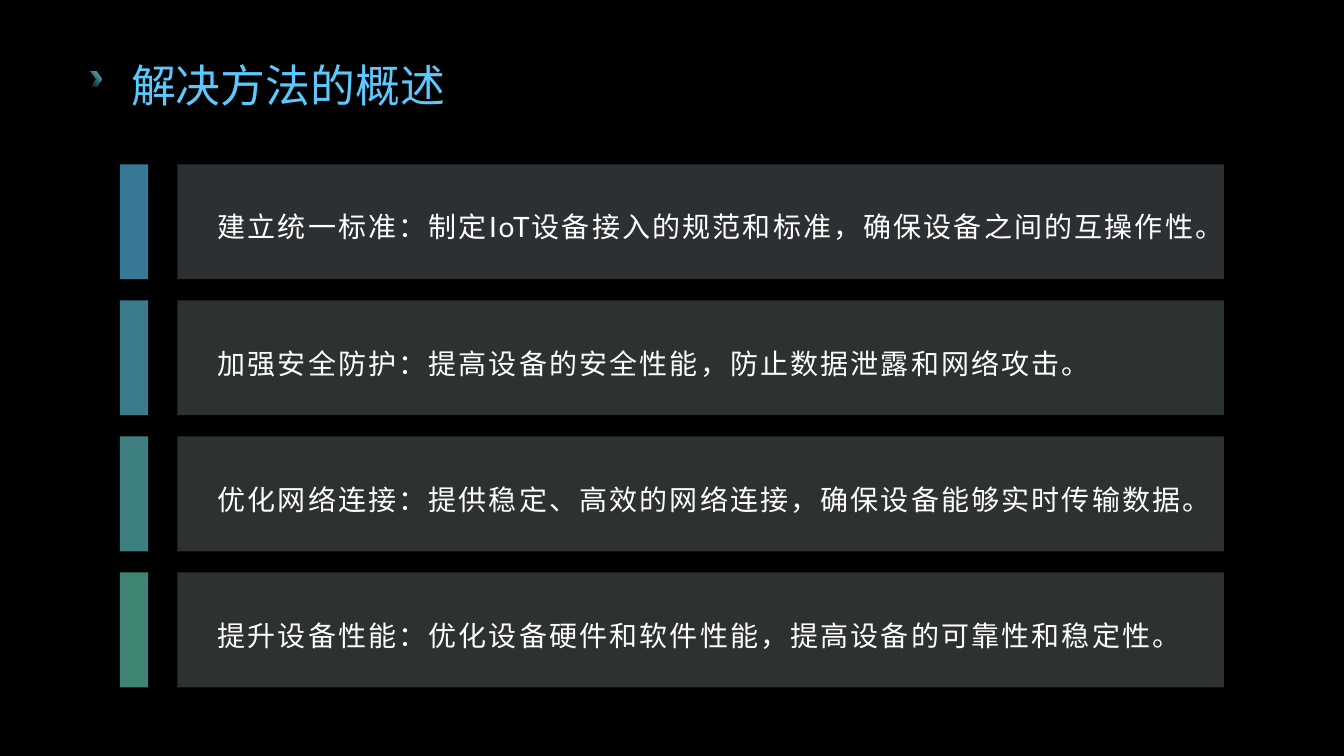
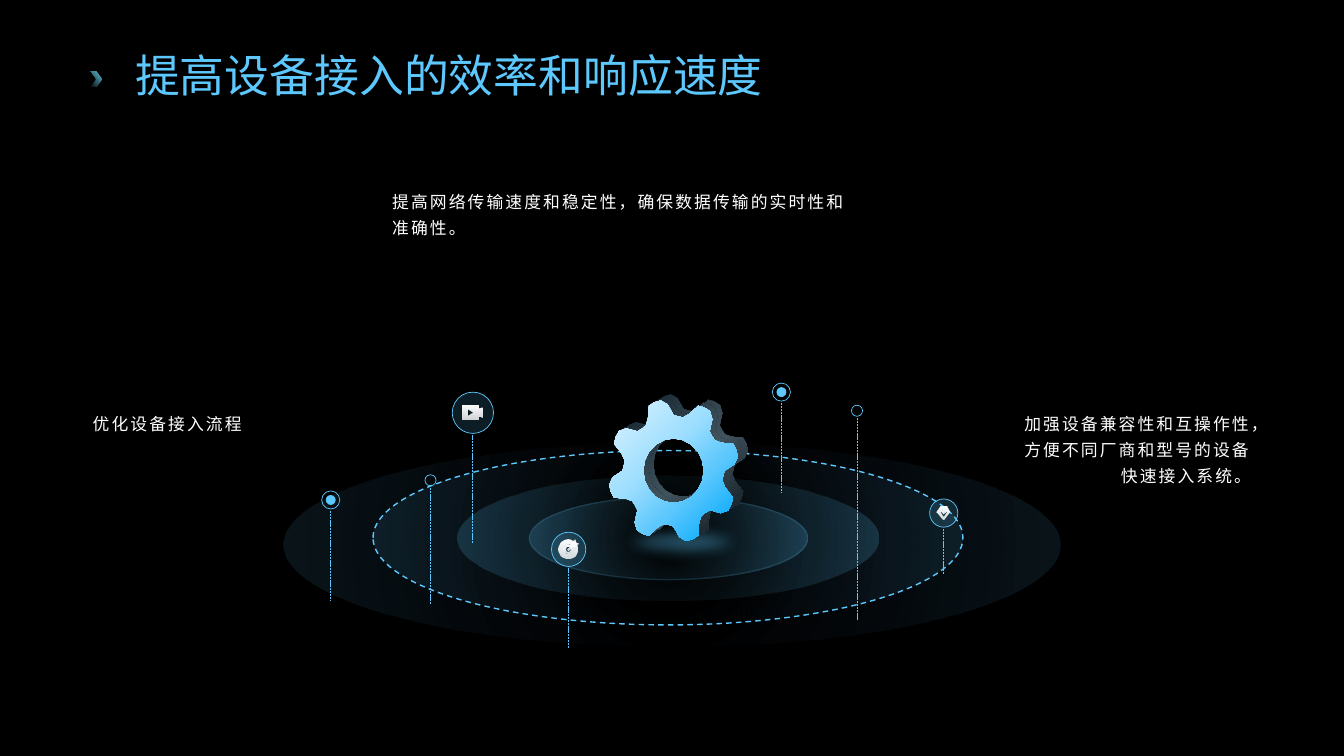
from dataclasses import dataclass
from math import cos, pi, sin

from pptx import Presentation, oxml, util as u
from pptx.dml.color import RGBColor
from pptx.enum import dml, shapes, text
from pptx.oxml import ns


@dataclass(frozen=True)
class Theme:
    """Colours, font and type sizes of the deck."""
    back: str = "000000"
    ink: str = "FFFFFF"
    blue: str = "5DC8FD"
    teal: str = "62CFE9"
    font: str = "Lato"
    head: int = 32
    body: int = 20
    note: int = 12
    gear: tuple = ((0, "DFF4FF", 100), (40, "9EDEFE", 100),
                   (64, "5DC8FD", 100), (92, "08ABFC", 100))
    side: tuple = ((0, "10202A", 100), (55, "40525C", 100), (100, "0A1218", 100))
    icon: tuple = ((0, "FFFFFF", 100), (100, "FFFFFF", 80))


T = Theme()
OVAL = shapes.MSO_SHAPE.OVAL
RECT = shapes.MSO_SHAPE.RECTANGLE
DASH = dml.MSO_LINE.DASH

CARDS = [
    ("DFF4FF", "5DC8FD", "建立统一标准：制定IoT设备接入的规范和标准，确保设备之间的互操作性。"),
    ("E0F5FB", "62CFE9", "加强安全防护：提高设备的安全性能，防止数据泄露和网络攻击。"),
    ("E1F7F7", "67D6D5", "优化网络连接：提供稳定、高效的网络连接，确保设备能够实时传输数据。"),
    ("E1F8F3", "6BDCC1", "提升设备性能：优化设备硬件和软件性能，提高设备的可靠性和稳定性。"),
]
RINGS = [
    ((2.81, 4.39, 7.71, 2.02), 25, 10, None),
    ((3.7, 4.47, 5.85, 1.73), 25, 10, {"width": 1, "dash": DASH}),
    ((4.54, 4.72, 4.17, 1.24), 0, 20, None),
    ((5.25, 4.93, 2.76, 0.82), 0, 20, {"width": 1, "alpha": 15}),
]
PINS = [
    (3.28, 4.87, 0.18, 5.96, "dot"),
    (8.5, 4.02, 0.11, 6.16, "open"),
    (4.69, 3.89, 0.41, 5.39, "glass"),
    (7.75, 3.8, 0.18, 4.89, "dot"),
    (4.27, 4.71, 0.11, 5.99, "open"),
    (9.36, 4.95, 0.28, 5.69, "glass"),
    (5.64, 5.28, 0.34, 6.43, "glass"),
]
NOTES = [
    ((0.92, 4.04, 2.26, 0.85), "优化设备接入流程", text.PP_ALIGN.LEFT),
    ((10.15, 4.04, 2.26, 0.85),
     "加强设备兼容性和互操作性，方便不同厂商和型号的设备快速接入系统。", text.PP_ALIGN.RIGHT),
    ((3.89, 1.84, 4.66, 0.89),
     "提高网络传输速度和稳定性，确保数据传输的实时性和准确性。", text.PP_ALIGN.LEFT),
]


def inch(vals):
    """Turn numbers into lengths."""
    return [u.Inches(v) for v in vals]


def apply(item, form):
    """Set attributes from a dict."""
    for key, val in form.items():
        setattr(item, key, val)


def fade(root, alpha):
    """Make the solid colour under an element see-through."""
    tone = root.find(ns.qn("a:solidFill")).find(ns.qn("a:srgbClr"))
    tone.append(oxml.parse_xml(
        f'<a:alpha {ns.nsdecls("a")} val="{alpha * 1000}"/>'))


def blend(shape, stops, angle=None):
    """Fill a shape with a linear gradient, or a round one without angle."""
    marks = "".join(
        f'<a:gs pos="{pos * 1000}"><a:srgbClr val="{tone}">'
        f'<a:alpha val="{alpha * 1000}"/></a:srgbClr></a:gs>'
        for pos, tone, alpha in stops)
    if angle is None:
        way = ('<a:path path="circle"><a:fillToRect l="50000" t="50000" '
               'r="50000" b="50000"/></a:path>')
    else:
        way = f'<a:lin ang="{angle * 60000}" scaled="0"/>'
    shape._element.spPr.insert(2, oxml.parse_xml(
        f'<a:gradFill {ns.nsdecls("a")} rotWithShape="1">'
        f'<a:gsLst>{marks}</a:gsLst>{way}</a:gradFill>'))


def stroke(shape, width, dash=None, alpha=100):
    """Draw a blue line on a shape or connector."""
    line = shape.line
    line.color.rgb = RGBColor.from_string(T.blue)
    line.width = u.Pt(width)
    if dash:
        line.dash_style = dash
    if alpha < 100:
        fade(shape._element.spPr.find(ns.qn("a:ln")), alpha)


def finish(shape, fill=None, alpha=100, stops=None, angle=None, line=None):
    """Give a shape its fill and line and take off its shadow."""
    shape.shadow.inherit = False
    if stops:
        blend(shape, stops, angle)
    elif fill:
        shape.fill.solid()
        shape.fill.fore_color.rgb = RGBColor.from_string(fill)
        if alpha < 100:
            fade(shape._element.spPr, alpha)
    else:
        shape.fill.background()
    if line:
        stroke(shape, **line)
    else:
        shape.line.fill.background()
    return shape


def block(slide, kind, box, **look):
    """Add a preset shape."""
    return finish(slide.shapes.add_shape(kind, *inch(box)), **look)


def outline(slide, loops, **look):
    """Add a freeform made of closed loops; inner loops are holes."""
    pen = None
    for loop in loops:
        pts = [inch(pt) for pt in loop]
        if pen is None:
            pen = slide.shapes.build_freeform(*pts[0])
        else:
            pen.move_to(*pts[0])
        pen.add_line_segments(pts[1:], close=True)
    return finish(pen.convert_to_shape(), **look)


def write(frame, words, size, tone=T.ink, gap=1.3, align=None, spc=None):
    """Write one formatted paragraph."""
    para = frame.paragraphs[0]
    apply(para, {"line_spacing": gap, "alignment": align})
    run = para.add_run()
    run.text = words
    apply(run.font, {"name": T.font, "size": u.Pt(size)})
    run.font.color.rgb = RGBColor.from_string(tone)
    if spc:
        run.font._element.set("spc", str(spc))


def label(slide, box, words, size, pad=None, **form):
    """Add a wrapped text box."""
    frame = slide.shapes.add_textbox(*inch(box)).text_frame
    frame.word_wrap = True
    if pad is None:
        frame.vertical_anchor = text.MSO_ANCHOR.MIDDLE
    else:
        apply(frame, {f"margin_{side}": pad
                      for side in ("left", "top", "right", "bottom")})
    write(frame, words, size, spc=150, **form)


def stage(deck):
    """Set up the shared backdrop and title place; return the layout."""
    fill = deck.slide_master.background.fill
    fill.solid()
    fill.fore_color.rgb = RGBColor.from_string(T.back)
    plan = deck.slide_layouts[5]
    apply(plan.placeholders[0], dict(zip(
        ("left", "top", "width", "height"), inch((1.2, 0.45, 11.46, 0.67)))))
    return plan


def start(deck, plan, words, left=0.1, low=0):
    """Add a slide with its chevron and title."""
    slide = deck.slides.add_slide(plan)
    block(slide, shapes.MSO_SHAPE.CHEVRON, (0.9, 0.71, 0.11, 0.15),
          stops=((0, T.teal, 0), (100, T.teal, 100)), angle=315)
    frame = slide.shapes.title.text_frame
    apply(frame, {"margin_left": u.Inches(left), "margin_right": u.Inches(0.1),
                  "margin_top": 0, "margin_bottom": u.Inches(low),
                  "vertical_anchor": text.MSO_ANCHOR.MIDDLE,
                  "auto_size": text.MSO_AUTO_SIZE.NONE})
    write(frame, words, T.head, T.blue, 1.2, text.PP_ALIGN.LEFT)
    return slide


def card(slide, top, pale, tone, words):
    """Add one card with its colour bar."""
    block(slide, RECT, (1.76, top, 10.38, 1.14), fill=pale, alpha=20)
    block(slide, RECT, (1.19, top, 0.28, 1.14), fill=tone, alpha=60)
    label(slide, (2.06, top + 0.1, 9.93, 0.94), words, T.body)


def pin(slide, mid, top, size, foot, mark):
    """Add a round marker on a dotted stem."""
    thin = {"width": 0.5}
    glass = {"fill": T.blue, "alpha": 15} if mark == "glass" else {}
    block(slide, OVAL, (mid - size / 2, top, size, size), line=thin, **glass)
    if mark == "dot":
        block(slide, OVAL, (mid - size / 4, top + size / 4, size / 2, size / 2),
              fill=T.blue, line=thin)
    stem = slide.shapes.add_connector(
        shapes.MSO_CONNECTOR.STRAIGHT, *inch((mid, top + size + 0.02, mid, foot)))
    stroke(stem, 0.5, dml.MSO_LINE.SQUARE_DOT)
    stem._element.spPr.append(oxml.parse_xml(f'<a:effectLst {ns.nsdecls("a")}/>'))


def loop(mid, wide, high, count, reach=lambda turn: 1):
    """Return points around a centre."""
    turns = [2 * pi * i / count for i in range(count)]
    return [(mid[0] + wide * reach(t) * cos(t), mid[1] + high * reach(t) * sin(t))
            for t in turns]


def tooth(turn):
    """Return the gear's relative radius at an angle."""
    wave = 1.7 * cos(8 * (turn - pi / 6))
    return 0.88 + 0.12 * max(-1, min(1, wave))


def gear(slide, mid):
    """Add a thick gear, from its back to its lit face."""
    for step in (2, 1, 0):
        spot = (mid[0] + 0.05 * step, mid[1] - 0.03 * step)
        rim = loop(spot, 0.65, 0.71, 64, tooth)
        hole = loop(spot, 0.3, 0.32, 20)[::-1]
        outline(slide, [rim, hole], stops=T.side if step else T.gear, angle=45)


def icons(slide):
    """Add the camera, target and gem signs."""
    camera = [(4.59, 4.02), (4.74, 4.02), (4.74, 4.05), (4.78, 4.04),
              (4.78, 4.14), (4.74, 4.13), (4.74, 4.16), (4.59, 4.16)]
    play = [(4.64, 4.06), (4.64, 4.12), (4.69, 4.09)]
    dart = [(5.63, 5.44), (5.67, 5.41), (5.66, 5.39), (5.7, 5.35),
            (5.71, 5.38), (5.74, 5.39), (5.7, 5.42), (5.68, 5.42), (5.64, 5.46)]
    gem = [(9.33, 5.03), (9.39, 5.03), (9.42, 5.08), (9.36, 5.15), (9.29, 5.08)]
    tick = [(9.33, 5.08), (9.36, 5.12), (9.39, 5.08), (9.38, 5.08),
            (9.36, 5.1), (9.34, 5.08)]
    for size in (0.19, 0.09):
        block(slide, shapes.MSO_SHAPE.DONUT,
              (5.63 - size / 2, 5.45 - size / 2, size, size),
              stops=T.icon, angle=90)
    for loops in ([camera, play], [dart], [gem, tick]):
        outline(slide, loops, stops=T.icon, angle=90)


def main():
    """Build and save the deck."""
    deck = Presentation()
    apply(deck, {"slide_width": u.Inches(13.33), "slide_height": u.Inches(7.5)})
    plan = stage(deck)

    slide = start(deck, plan, "解决方法的概述")
    for row, (pale, tone, words) in enumerate(CARDS):
        card(slide, 1.63 + 1.35 * row, pale, tone, words)

    slide = start(deck, plan, "提高设备接入的效率和响应速度", left=0.14, low=0.2)
    for box, pos, alpha, line in RINGS:
        block(slide, OVAL, box, line=line,
              stops=((pos, T.blue, 0), (100, T.blue, alpha)))
    glow = block(slide, OVAL, (5.97, 5.14, 1.59, 0.47), fill=T.blue, alpha=40)
    glow._element.spPr.find(ns.qn("a:effectLst")).append(oxml.parse_xml(
        f'<a:softEdge {ns.nsdecls("a")} rad="{u.Pt(10)}"/>'))
    for spot in PINS:
        pin(slide, *spot)
    icons(slide)
    gear(slide, (6.68, 4.67))
    for box, words, align in NOTES:
        label(slide, box, words, T.note, pad=0, align=align)
    deck.save("out.pptx")


if __name__ == "__main__":
    main()
